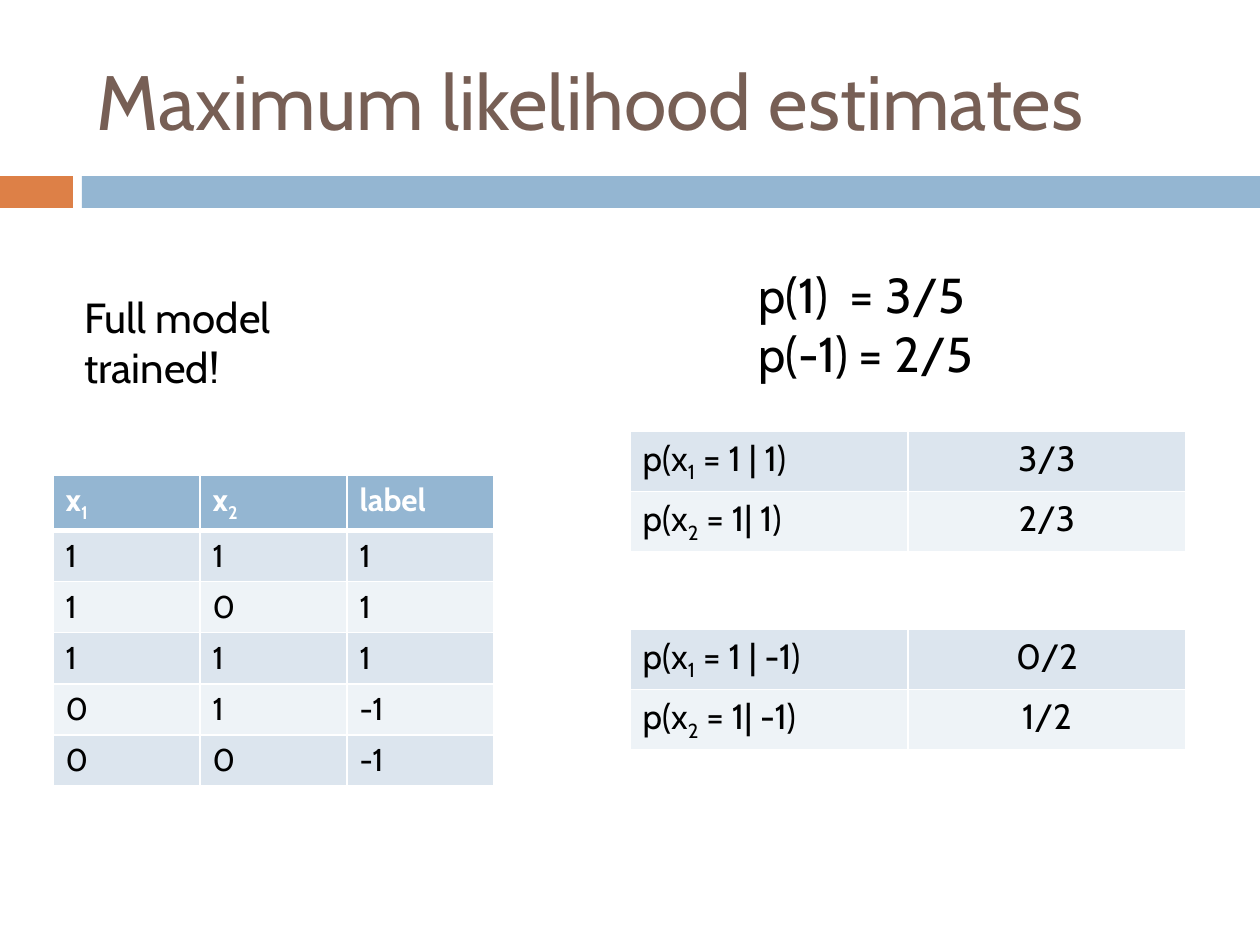
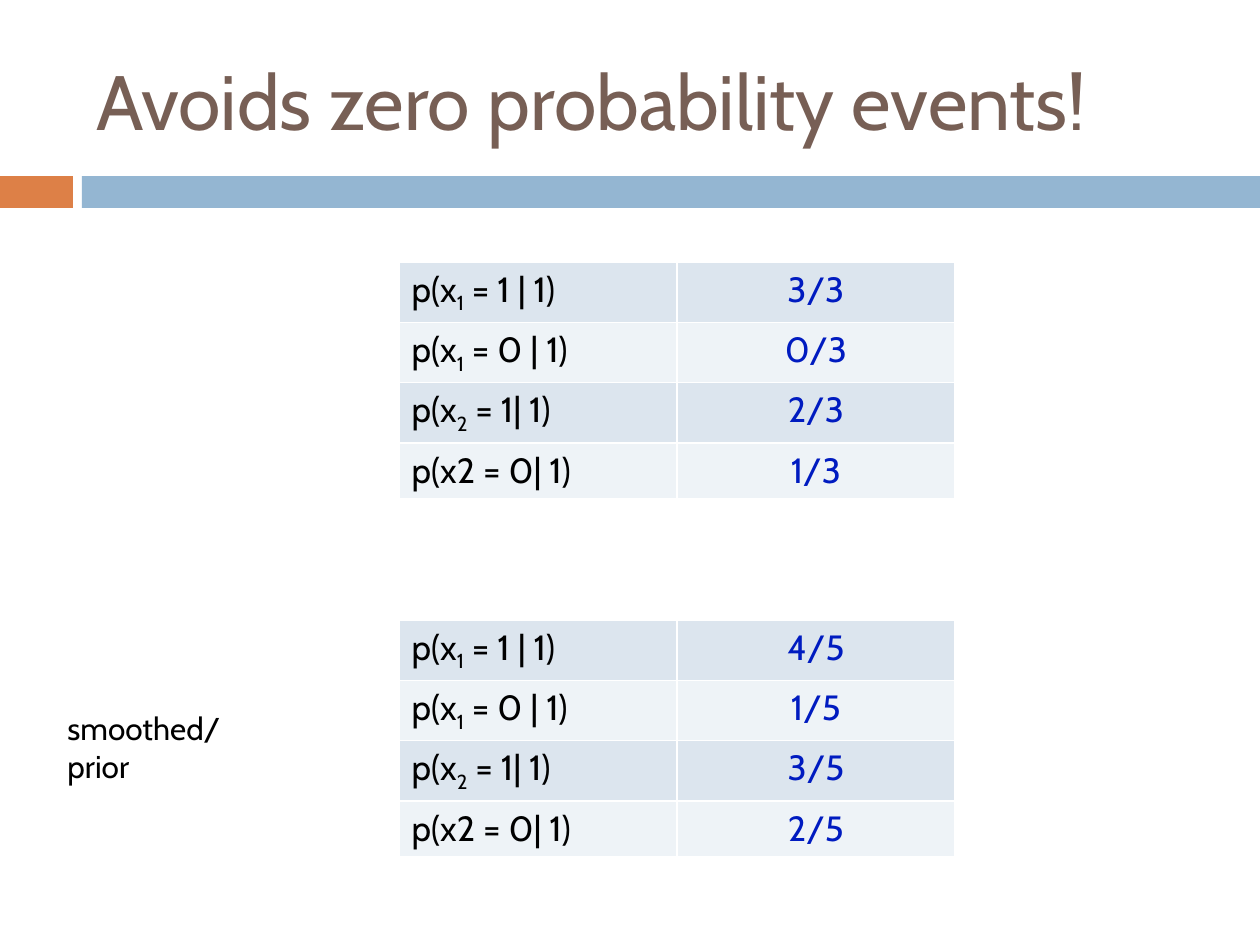
from pptx import Presentation
from pptx import util as u
from pptx.dml.color import RGBColor
from pptx.enum import shapes, text
from pptx.oxml import ns, xmlchemy

SCALE = 914400 / 126  # EMU in one px
FONT = "Cabin"
BLACK, WHITE, BLUE = "000000", "FFFFFF", "001BC0"
BROWN, ORANGE, STEEL = "775F55", "DD8047", "94B6D2"
STRIPES = ("DCE5EE", "EEF3F7")

SAMPLES = [("1", "1", "1"), ("1", "0", "1"), ("1", "1", "1"),
           ("0", "1", "-1"), ("0", "0", "-1")]
EVENTS = ["p(x_1 = 1 | 1)", "p(x_1 = 0 | 1)", "p(x_2 = 1| 1)", "p(x2 = 0| 1)"]


def px(length):
    return u.Emu(round(length * SCALE))


def color(hex_string):
    return RGBColor.from_string(hex_string)


def style_runs(para, size, ink, bold=False):
    for span in para.runs:
        font = span.font
        font.name, font.size, font.bold = FONT, u.Pt(size), bold
        font.color.rgb = color(ink)


def write_indexed(para, content):
    """Write text in which the character after each underscore is a subscript."""
    first, *rest = content.split("_")
    para.text = first
    for piece in rest:
        index = para.add_run()
        index.text = piece[0]
        index.font._element.set("baseline", "-25000")
        if piece[1:]:
            para.add_run().text = piece[1:]


# Shared slide parts

def add_bar(page, left, width, fill):
    bar = page.shapes.add_shape(shapes.MSO_SHAPE.RECTANGLE,
                                px(left), px(176), px(width), px(32))
    bar.shadow.inherit = False
    bar.fill.solid()
    bar.fill.fore_color.rgb = color(fill)
    bar.line.fill.background()


def add_page(deck, heading):
    page = deck.slides.add_slide(deck.slide_layouts[5])
    add_bar(page, 0, 73, ORANGE)
    add_bar(page, 82, 1178, STEEL)
    title = page.shapes.title
    title.left, title.top, title.width, title.height = map(px, (84, 32, 1124, 136))
    frame = title.text_frame
    frame.text = heading
    frame.auto_size = text.MSO_AUTO_SIZE.NONE
    frame.vertical_anchor = text.MSO_ANCHOR.MIDDLE
    frame.paragraphs[0].alignment = text.PP_ALIGN.LEFT
    style_runs(frame.paragraphs[0], 44, BROWN)
    return page


def add_note(page, box, content, size):
    frame = page.shapes.add_textbox(*map(px, box)).text_frame
    frame.word_wrap = True
    frame.text = content
    for para in frame.paragraphs:
        style_runs(para, size, BLACK)


# Tables

def set_borders(cell, bottom):
    properties = cell._tc.get_or_add_tcPr()
    for side, points in (("L", 1), ("R", 1), ("T", 1), ("B", bottom)):
        line = xmlchemy.OxmlElement(f"a:ln{side}")
        line.set("w", str(u.Pt(points)))
        solid = xmlchemy.OxmlElement("a:solidFill")
        tint = xmlchemy.OxmlElement("a:srgbClr")
        tint.set("val", WHITE)
        solid.append(tint)
        line.append(solid)
        properties.append(line)


def write_cell(cell, content, size, fill, ink=BLACK, bold=False, bottom=1):
    set_borders(cell, bottom)
    cell.fill.solid()
    cell.fill.fore_color.rgb = color(fill)
    para = cell.text_frame.paragraphs[0]
    write_indexed(para, content)
    style_runs(para, size, ink, bold)
    return para


def add_grid(page, left, top, rows, column_width, columns, row_height):
    grid = page.shapes.add_table(rows, columns, px(left), px(top),
                                 px(column_width * columns),
                                 px(row_height * rows)).table
    for column in grid.columns:
        column.width = px(column_width)
    for row in grid.rows:
        row.height = px(row_height)
    return grid


def add_sample_table(page, left, top):
    grid = add_grid(page, left, top, len(SAMPLES) + 1, 147, 3, 51)
    for column, name in enumerate(("x_1", "x_2", "label")):
        write_cell(grid.cell(0, column), name, 18, STEEL, WHITE, bold=True, bottom=3)
    for row, sample in enumerate(SAMPLES):
        for column, value in enumerate(sample):
            write_cell(grid.cell(row + 1, column), value, 18, STRIPES[row % 2])


def add_probability_table(page, left, top, events, values, ink=BLACK):
    grid = add_grid(page, left, top, len(events), 278, 2, 53)
    for row, (event, value) in enumerate(zip(events, values)):
        fill = STRIPES[row % 2]
        write_cell(grid.cell(row, 0), event, 20, fill)
        para = write_cell(grid.cell(row, 1), value, 20, fill, ink)
        para.alignment = text.PP_ALIGN.CENTER


# Slides

def add_estimates_slide(deck):
    page = add_page(deck, "Maximum likelihood estimates")
    add_sample_table(page, 53, 475)
    add_probability_table(page, 630, 431, ["p(x_1 = 1 | 1)", "p(x_2 = 1| 1)"],
                          ["3/3", "2/3"])
    add_probability_table(page, 630, 629, ["p(x_1 = 1 | -1)", "p(x_2 = 1| -1)"],
                          ["0/2", "1/2"])
    add_note(page, (746, 258, 263, 131), "p(1)  = 3/5\np(-1) = 2/5", 28)
    add_note(page, (72, 285, 338, 63), "Full model trained!", 24)


def add_smoothing_slide(deck):
    page = add_page(deck, "Avoids zero probability events!")
    add_probability_table(page, 399, 262, EVENTS, ["3/3", "0/3", "2/3", "1/3"], BLUE)
    add_probability_table(page, 399, 620, EVENTS, ["4/5", "1/5", "3/5", "2/5"], BLUE)
    add_note(page, (55, 703, 223, 50), "smoothed/prior", 18)


def main():
    deck = Presentation()
    deck.slide_width, deck.slide_height = px(1260), px(945)
    add_estimates_slide(deck)
    add_smoothing_slide(deck)
    deck.save("out.pptx")


if __name__ == "__main__":
    main()
